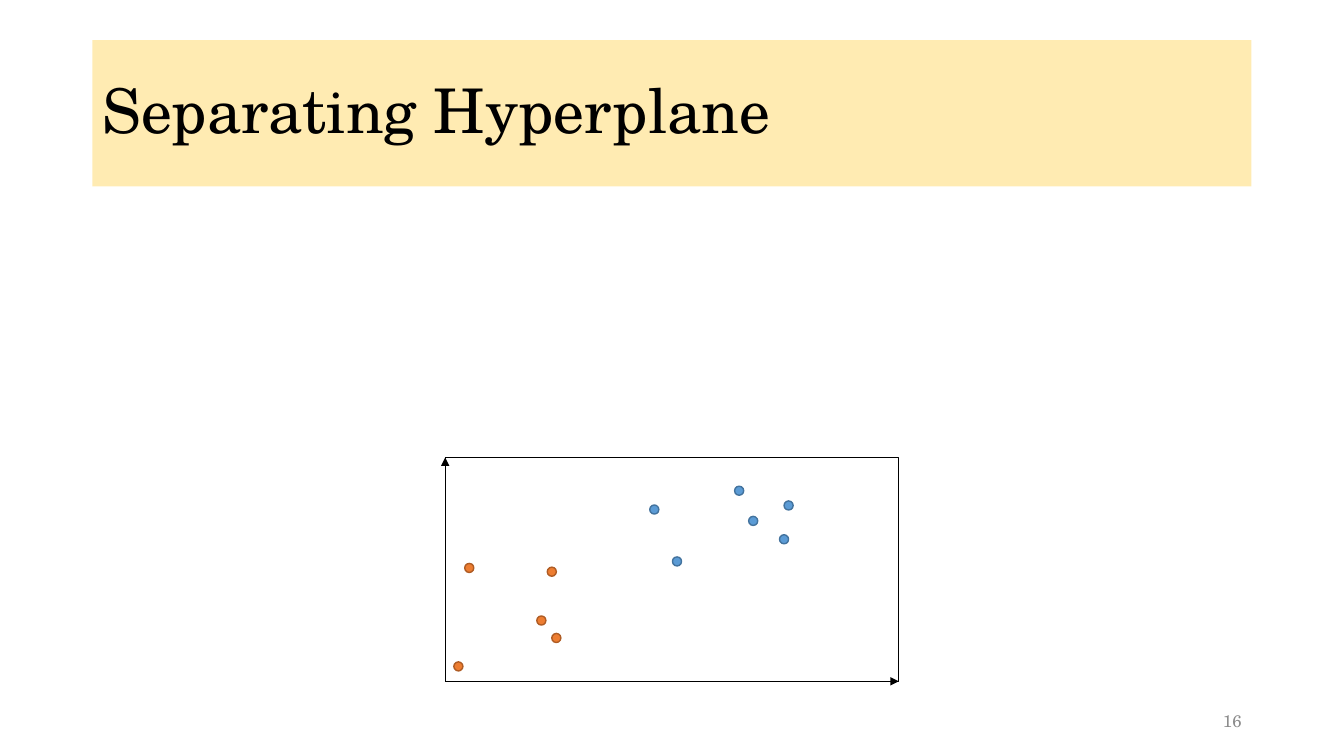
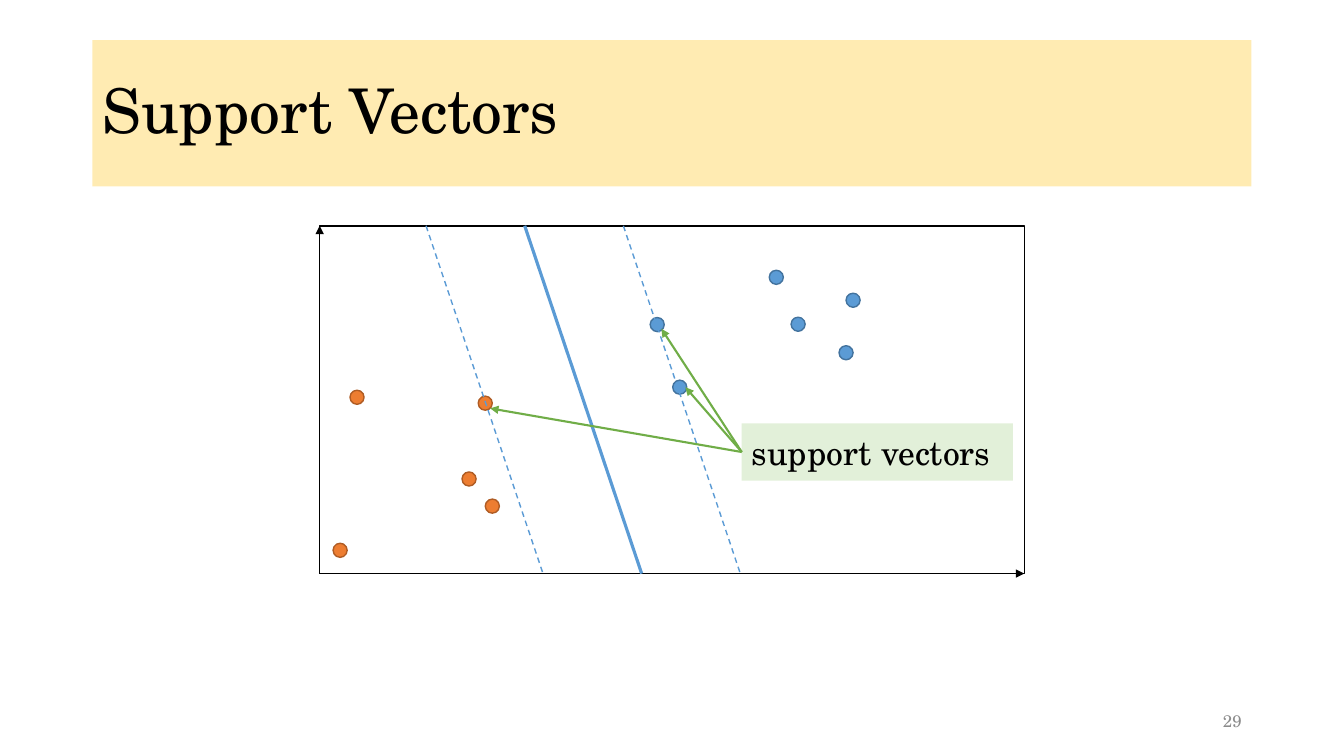
from lxml import etree
from pptx import Presentation
from pptx.dml.color import RGBColor
from pptx.enum.dml import MSO_LINE
from pptx.enum.shapes import MSO_CONNECTOR, MSO_SHAPE
from pptx.enum.text import MSO_ANCHOR, PP_ALIGN
from pptx.oxml.ns import qn
from pptx.util import Inches, Pt

STRAIGHT = MSO_CONNECTOR.STRAIGHT
RECTANGLE, OVAL = MSO_SHAPE.RECTANGLE, MSO_SHAPE.OVAL
MIDDLE = MSO_ANCHOR.MIDDLE
LEFT, RIGHT = PP_ALIGN.LEFT, PP_ALIGN.RIGHT
DASH = MSO_LINE.DASH

FONT = "TeX Gyre Schola"
COLORS = {
    "band": "FFD966",
    "text": "000000",
    "number": "8C8C8C",
    "axis": "000000",
    "blue": "5B9BD5",
    "blue edge": "43739E",
    "orange": "ED7D31",
    "orange edge": "AF5C24",
    "label": "E2F0D9",
    "arrow": "70AD47",
}
COLORS = {name: RGBColor.from_string(value) for name, value in COLORS.items()}

WIDTH, HEIGHT = Inches(40 / 3), Inches(7.5)
PAGE = (0, 0, WIDTH, HEIGHT)
BAND_WIDTH = 86.25
BAND_LEFT = (100 - BAND_WIDTH) / 2
NUMBER_WIDTH = 22.5
NUMBER_LEFT = BAND_LEFT + BAND_WIDTH - NUMBER_WIDTH
DOT_SHARE = 0.02

BLUE_DOTS = [(67.9, 28.3), (64.8, 14.8), (51.1, 46.4), (75.7, 21.4), (74.7, 36.5)]
ORANGE_DOTS = [(5.3, 49.3), (21.2, 72.8), (24.5, 80.6), (2.9, 93.3), (23.5, 51)]

SLIDES = [
    {"title": "Separating Hyperplane", "number": "16", "top": 60.53,
     "size": (33.75, 29.6), "outline": 0.75, "extra dot": (46.1, 23.2)},
    {"title": "Support Vectors", "number": "29", "top": 29.87,
     "size": (52.43, 46), "outline": 1, "extra dot": (47.9, 28.4)},
]


def write_text(slide, area, box, text, size, color="text", fill=None,
               opacity=100, align=LEFT, spacing=1):
    left, top, width, height = area
    shape = slide.shapes.add_textbox(
        int(left + width * box[0] / 100), int(top + height * box[1] / 100),
        int(width * box[2] / 100), int(height * box[3] / 100))
    if fill:
        shape.fill.solid()
        shape.fill.fore_color.rgb = COLORS[fill]
        if opacity < 100:
            fill_color = shape.element.spPr.find(".//" + qn("a:srgbClr"))
            etree.SubElement(fill_color, qn("a:alpha"), val=str(opacity * 1000))
    frame = shape.text_frame
    frame.word_wrap = True
    frame.vertical_anchor = MIDDLE
    paragraph = frame.paragraphs[0]
    paragraph.alignment = align
    paragraph.line_spacing = spacing
    run = paragraph.add_run()
    run.text = text
    run.font.name = FONT
    run.font.size = Pt(size)
    run.font.color.rgb = COLORS[color]


def draw_line(slide, area, start, end, color, weight, dash=None, arrow=False):
    left, top, width, height = area
    ends = [int(edge + length * share / 100)
            for point in (start, end)
            for edge, length, share in zip((left, top), (width, height), point)]
    connector = slide.shapes.add_connector(STRAIGHT, *ends)
    connector.line.color.rgb = COLORS[color]
    connector.line.width = Pt(weight)
    if dash:
        connector.line.dash_style = dash
    properties = connector.element.spPr
    if arrow:
        etree.SubElement(properties.find(qn("a:ln")), qn("a:tailEnd"), type="triangle")
    etree.SubElement(properties, qn("a:effectLst"))


presentation = Presentation()
presentation.slide_width, presentation.slide_height = WIDTH, HEIGHT
blank_layout = presentation.slide_layouts[6]

for content in SLIDES:
    slide = presentation.slides.add_slide(blank_layout)
    write_text(slide, PAGE, (BAND_LEFT, 5.33, BAND_WIDTH, 19.33), content["title"],
               size=44, fill="band", opacity=50, spacing=0.9)
    write_text(slide, PAGE, (NUMBER_LEFT, 92.67, NUMBER_WIDTH, 5.33), content["number"],
               size=12, color="number", align=RIGHT)

    plot_width = int(WIDTH * content["size"][0] / 100)
    plot_height = int(HEIGHT * content["size"][1] / 100)
    plot_left = (WIDTH - plot_width) // 2
    plot_top = int(HEIGHT * content["top"] / 100)
    plot = (plot_left, plot_top, plot_width, plot_height)

    outline = slide.shapes.add_shape(RECTANGLE, *plot)
    outline.shadow.inherit = False
    outline.fill.background()
    outline.line.color.rgb = COLORS["axis"]
    outline.line.width = Pt(content["outline"])
    for axis_end in [(0, 0), (100, 100)]:
        draw_line(slide, plot, (0, 100), axis_end, "axis", 0.5, arrow=True)

    diameter = int(plot_width * DOT_SHARE)
    groups = [("blue", BLUE_DOTS + [content["extra dot"]]), ("orange", ORANGE_DOTS)]
    for color, dots in groups:
        for across, down in dots:
            dot = slide.shapes.add_shape(
                OVAL,
                int(plot_left + plot_width * across / 100 - diameter / 2),
                int(plot_top + plot_height * down / 100 - diameter / 2),
                diameter, diameter)
            dot.shadow.inherit = False
            dot.fill.solid()
            dot.fill.fore_color.rgb = COLORS[color]
            dot.line.color.rgb = COLORS[color + " edge"]
            dot.line.width = Pt(1)

HYPERPLANE_TOP, MARGIN, SLANT = 29.1, 14, 16.6
for offset, weight, dash in [(0, 2.25, None), (MARGIN, 1, DASH), (-MARGIN, 1, DASH)]:
    line_top = HYPERPLANE_TOP + offset
    draw_line(slide, plot, (line_top, 0), (line_top + SLANT, 100), "blue", weight, dash=dash)

label_left, label_top, label_width, label_height = label_box = (59.9, 56.8, 38.5, 16.5)
write_text(slide, plot, label_box, "support vectors", size=24, fill="label")
label_edge = (label_left, label_top + label_height / 2)
for support_vector in [(51.9, 46.4), (48.5, 29.6), (24.2, 52.5)]:
    draw_line(slide, plot, label_edge, support_vector, "arrow", 1.5, arrow=True)

presentation.save("out.pptx")
